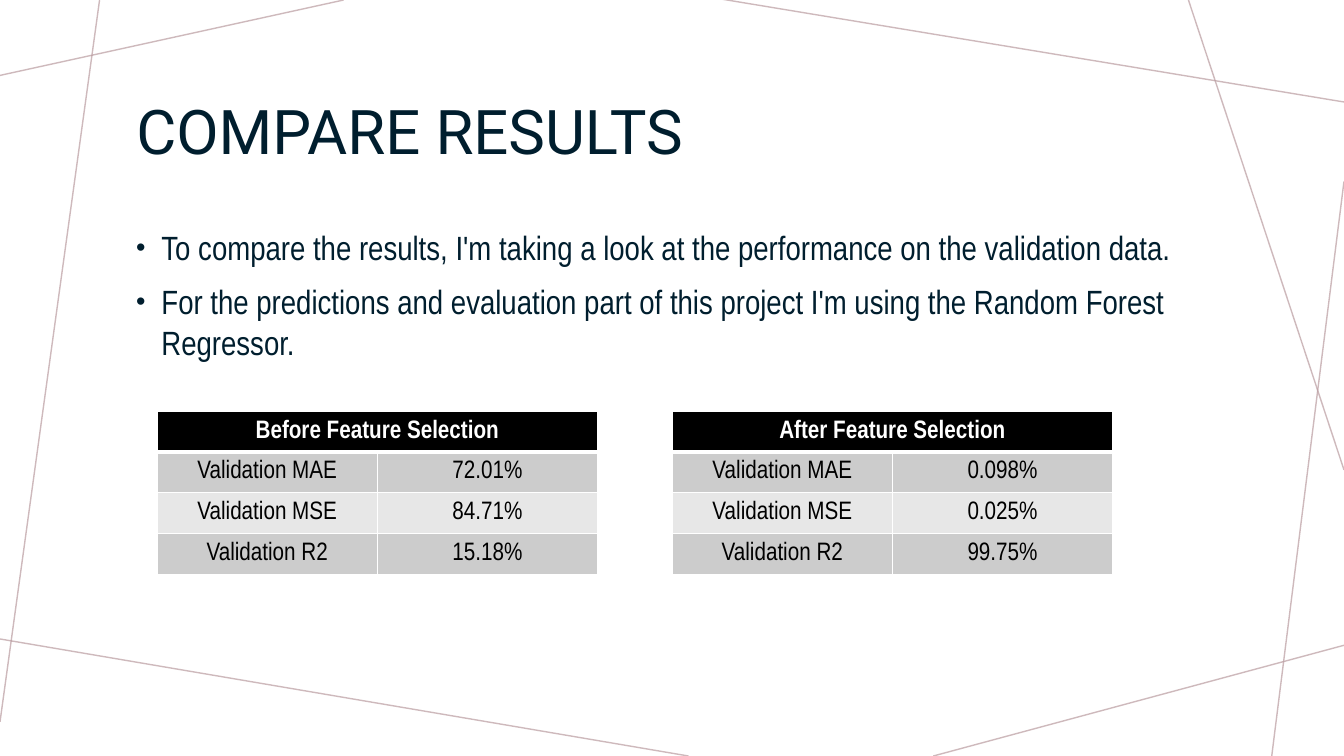
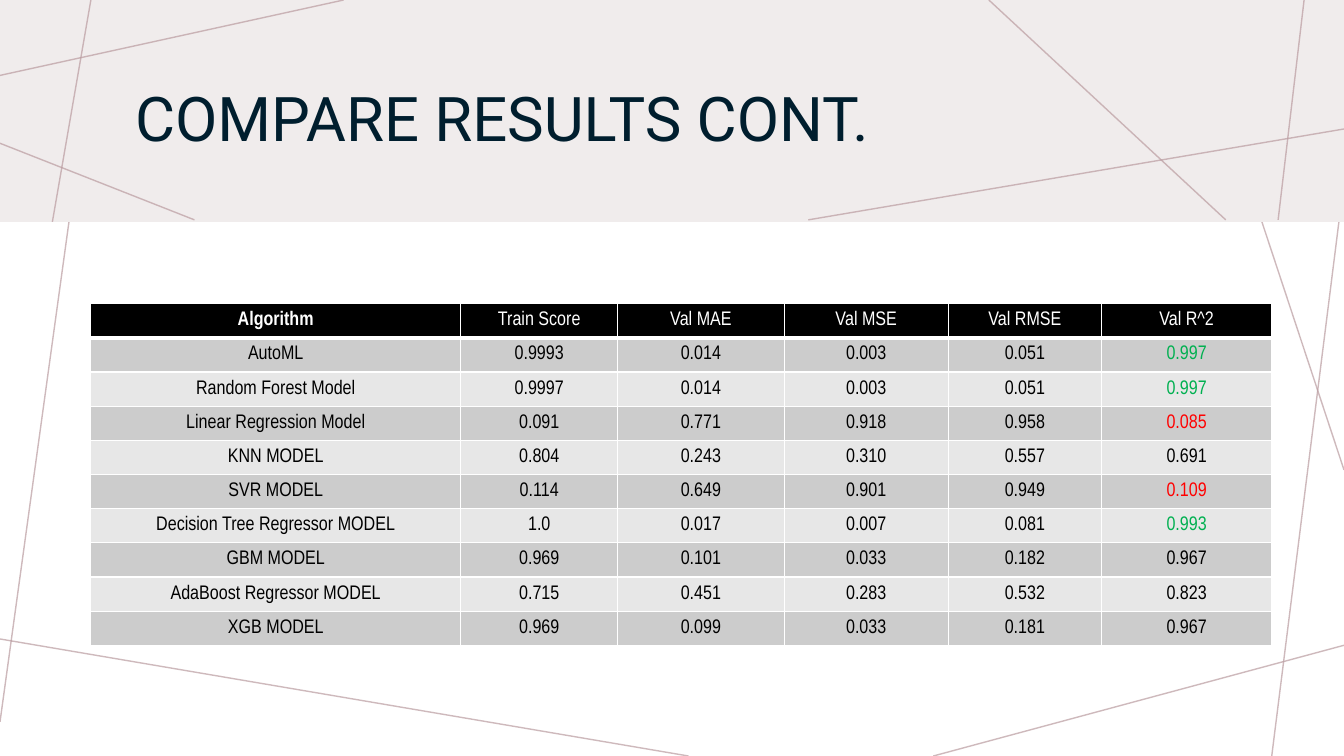
from lxml import etree
from pptx import Presentation
from pptx import util as u
from pptx.dml.color import RGBColor
from pptx.enum import shapes, text
from pptx.oxml import ns

WIDTH, HEIGHT = 33.87, 19.05
BAND_HEIGHT = 5.59
TITLE_FONT, BODY_FONT = "Roboto", "Arial Narrow"
COLORS = {
    "ink": "001E2E", "line": "BA9CA0", "band": "F0ECEC",
    "header": "000000", "odd": "CCCCCC", "even": "E7E7E7",
    "white": "FFFFFF", "black": "000000", "good": "00B050", "bad": "FF0000",
}

# Each line is x1, y1, x2, y2 in centimetres.
CORNER_LINE = (8.66, 0, 0, 1.9)
PAGE_LINES = [
    CORNER_LINE,
    (2.51, 0, 0, 18.19),
    (17.35, HEIGHT, -0.13, 16.08),
    (WIDTH, 16.26, 23.52, HEIGHT),
    (WIDTH, 4.57, 32.05, HEIGHT),
    (WIDTH, 11.84, 29.95, 0),
    (WIDTH, 2.57, 18.14, -0.03),
]
BAND_LINES = [
    CORNER_LINE,
    (2.29, 0, 1.32, BAND_HEIGHT),
    (4.9, 5.54, 0, 3.61),
    (WIDTH, 3.25, 20.37, 5.54),
    (30.89, 5.54, 24.92, 0),
    (32.87, -0.05, 32.21, 5.54),
]

BULLETS = [
    "To compare the results, I'm taking a look at the performance on the validation data.",
    "For the predictions and evaluation part of this project I'm using the Random Forest Regressor.",
]
METRICS = ["Validation MAE", "Validation MSE", "Validation R2"]
SELECTION_RESULTS = {
    "Before Feature Selection": ["72.01%", "84.71%", "15.18%"],
    "After Feature Selection": ["0.098%", "0.025%", "99.75%"],
}
MODEL_SCORES = [
    ["Algorithm", "Train Score", "Val MAE", "Val MSE", "Val RMSE", "Val R^2"],
    ["AutoML", "0.9993", "0.014", "0.003", "0.051", "0.997"],
    ["Random Forest Model", "0.9997", "0.014", "0.003", "0.051", "0.997"],
    ["Linear Regression Model", "0.091", "0.771", "0.918", "0.958", "0.085"],
    ["KNN MODEL", "0.804", "0.243", "0.310", "0.557", "0.691"],
    ["SVR MODEL", "0.114", "0.649", "0.901", "0.949", "0.109"],
    ["Decision Tree Regressor MODEL", "1.0", "0.017", "0.007", "0.081", "0.993"],
    ["GBM MODEL", "0.969", "0.101", "0.033", "0.182", "0.967"],
    ["AdaBoost Regressor MODEL", "0.715", "0.451", "0.283", "0.532", "0.823"],
    ["XGB MODEL", "0.969", "0.099", "0.033", "0.181", "0.967"],
]


def rgb(name):
    return RGBColor.from_string(COLORS[name])


def cm(*lengths):
    return [u.Cm(length) for length in lengths]


def sub(parent, tag, **attrs):
    return etree.SubElement(parent, ns.qn(tag), attrs)


def score_color(score):
    """Mark a very high R^2 as good and a very low one as bad."""
    if score >= 0.99:
        return "good"
    return "bad" if score < 0.2 else "black"


class Deck:
    def __init__(self):
        self.prs = Presentation()
        self.prs.slide_width, self.prs.slide_height = cm(WIDTH, HEIGHT)
        self.s = None

    def slide(self):
        self.s = self.prs.slides.add_slide(self.prs.slide_layouts[5])
        self.lines(PAGE_LINES)

    def font(self, p, name, size, color, bold=False):
        p.font.name, p.font.size, p.font.bold = name, u.Pt(size), bold
        p.font.color.rgb = rgb(color)

    def lines(self, ends):
        for points in ends:
            line = self.s.shapes.add_connector(shapes.MSO_CONNECTOR.STRAIGHT, *cm(*points))
            line.line.width = u.Pt(1)
            line.line.color.rgb = rgb("line")
            sp_pr = line.element.spPr
            sub(sp_pr.find(".//" + ns.qn("a:srgbClr")), "a:alpha", val="70000")
            sub(sp_pr, "a:effectLst")

    def band(self):
        sp = self.s.shapes.add_shape(
            shapes.MSO_SHAPE.RECTANGLE, *cm(0, 0, WIDTH, BAND_HEIGHT))
        sp.shadow.inherit = False
        sp.fill.solid()
        sp.fill.fore_color.rgb = rgb("band")
        sp.line.fill.background()
        self.lines(BAND_LINES)

    def title(self, words, *box):
        sp = self.s.shapes.title
        sp.left, sp.top, sp.width, sp.height = cm(*box)
        sp.element.getparent().append(sp.element)  # in front of the band
        tf = sp.text_frame
        tf.text = words
        tf.word_wrap = True
        tf.auto_size = text.MSO_AUTO_SIZE.NONE
        tf.vertical_anchor = text.MSO_ANCHOR.MIDDLE
        p = tf.paragraphs[0]
        p.alignment, p.line_spacing = text.PP_ALIGN.LEFT, 0.9
        self.font(p, TITLE_FONT, 44, "ink")

    def bullets(self, items, *box):
        tf = self.s.shapes.add_textbox(*cm(*box)).text_frame
        tf.word_wrap = True
        tf.text = "\n".join(items)
        for p in tf.paragraphs:
            p.space_before = u.Pt(10)
            self.font(p, BODY_FONT, 24, "ink")
            p_pr = p._p.get_or_add_pPr()
            indent = u.Cm(0.64)
            p_pr.set("marL", str(indent))
            p_pr.set("indent", str(-indent))
            bullet_size = etree.Element(ns.qn("a:buSzPct"), val="80000")
            bullet_font = etree.Element(ns.qn("a:buFont"), typeface="Arial")
            bullet = etree.Element(ns.qn("a:buChar"), char="•")
            defaults = p_pr.find(ns.qn("a:defRPr"))
            for mark in (bullet_size, bullet_font, bullet):
                defaults.addprevious(mark)

    def borders(self, cell, row):
        tc_pr = cell._tc.get_or_add_tcPr()
        heavy = {(0, "B"), (1, "T")}
        for side in "LRTB":
            width = u.Pt(3 if (row, side) in heavy else 1)
            ln = sub(tc_pr, "a:ln" + side, w=str(width))
            sub(sub(ln, "a:solidFill"), "a:srgbClr", val=COLORS["white"])

    def cell(self, cell, words, row, size, color, bold):
        self.borders(cell, row)
        cell.fill.solid()
        cell.fill.fore_color.rgb = rgb("header" if row == 0 else "odd" if row % 2 else "even")
        cell.margin_left = cell.margin_right = u.Cm(0.2)
        cell.margin_top = cell.margin_bottom = u.Cm(0.1)
        cell.vertical_anchor = text.MSO_ANCHOR.MIDDLE
        cell.text = words
        p = cell.text_frame.paragraphs[0]
        p.alignment = text.PP_ALIGN.CENTER
        self.font(p, BODY_FONT, size, color, bold)

    def table(self, rows, left, top, widths, height, size, color_of=None):
        """Draw rows of text; a header of one cell spans all columns."""
        table = self.s.shapes.add_table(
            len(rows), len(widths), *cm(left, top, sum(widths), height)).table
        for column, width in zip(table.columns, widths):
            column.width = u.Cm(width)
        for i, row in enumerate(rows):
            padded = row + [""] * (len(widths) - len(row))
            for j, words in enumerate(padded):
                color = "white" if i == 0 else color_of(j, words) if color_of else "black"
                self.cell(table.cell(i, j), words, i, size, color, bold=i == j == 0)
        if len(rows[0]) == 1:
            table.cell(0, 0).merge(table.cell(0, len(widths) - 1))


def compare_selection(deck):
    deck.slide()
    deck.title("COMPARE RESULTS", 3.18, 1.47, 27.51, 3.84)
    deck.bullets(BULLETS, 3.18, 5.59, 27.51, 4)
    for i, (heading, values) in enumerate(SELECTION_RESULTS.items()):
        rows = [[heading]] + [list(pair) for pair in zip(METRICS, values)]
        deck.table(rows, 3.96 + 12.98 * i, 10.36, [5.55, 5.55], 4.12, 18)


def compare_models(deck):
    deck.slide()
    deck.band()
    deck.title("COMPARE RESULTS CONT.", 3.15, 1.37, 27.97, 3.4)
    last = len(MODEL_SCORES[0]) - 1
    deck.table(
        MODEL_SCORES, 2.29, 7.65, [9.32, 3.96, 4.19, 4.14, 3.86, 4.29], 8.61, 14,
        lambda column, words: score_color(float(words)) if column == last else "black")


def main():
    deck = Deck()
    compare_selection(deck)
    compare_models(deck)
    deck.prs.save("out.pptx")


if __name__ == "__main__":
    main()
